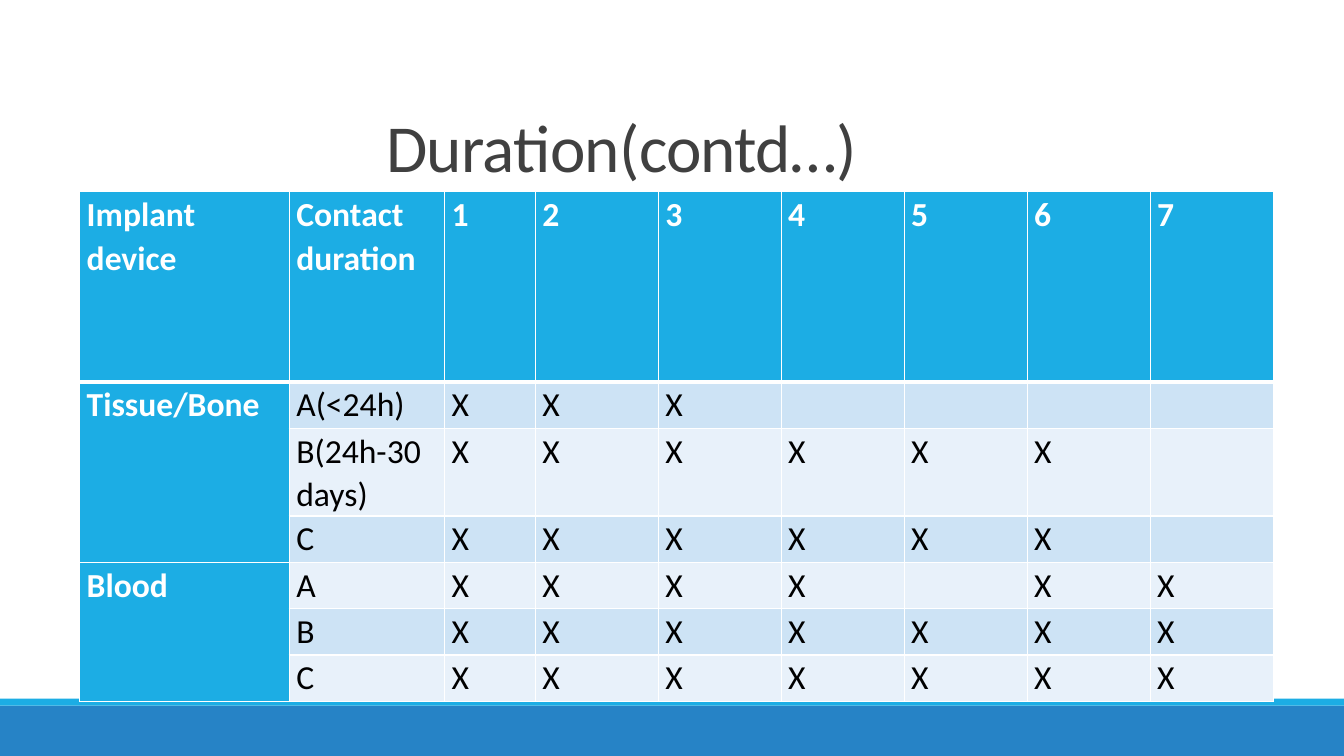
from lxml import etree
from pptx import Presentation
from pptx import util as u
from pptx.dml.color import RGBColor
from pptx.enum import shapes, text
from pptx.oxml import ns

BLUE, DEEP_BLUE, WHITE = "1CADE4", "2683C6", "FFFFFF"
BANDS = ("CDE3F5", "E8F1FA")
HEADER = ["Implant device", "Contact duration", *"1234567"]
# Device, contact duration, test numbers that apply
ROWS = [
    ("Tissue/Bone", "A(<24h)", "123"),
    ("", "B(24h-30days)", "123456"),
    ("", "C", "123456"),
    ("Blood", "A", "123467"),
    ("", "B", "1234567"),
    ("", "C", "1234567"),
]
DEVICE_ROWS = 3
COLUMN_WIDTHS = [15.6, 11.55, 6.75] + [9.15] * 6
ROW_HEIGHTS = [25.2, 6.13, 11.33] + [6.13] * 4


def color(value):
    return RGBColor.from_string(value)


class DurationSlide:
    """Draws elements whose lengths are percentages of the slide size."""

    font_name = "Calibri"

    def __init__(self, presentation):
        self.width = presentation.slide_width
        self.height = presentation.slide_height
        self.slide = presentation.slides.add_slide(presentation.slide_layouts[5])

    def x(self, share):
        return u.Emu(round(self.width * share / 100))

    def y(self, share):
        return u.Emu(round(self.height * share / 100))

    def box(self, left, top, width, height):
        return self.x(left), self.y(top), self.x(width), self.y(height)

    def style(self, paragraph, size, ink, bold, spacing):
        paragraph.alignment = text.PP_ALIGN.LEFT
        paragraph.line_spacing = spacing
        for run in paragraph.runs:
            run.font.name = self.font_name
            run.font.size = u.Pt(size)
            run.font.bold = bold
            run.font.color.rgb = color(ink)

    def bar(self, top, height, fill):
        shape = self.slide.shapes.add_shape(
            shapes.MSO_SHAPE.RECTANGLE, *self.box(0, top, 100, height))
        shape.shadow.inherit = False
        shape.fill.solid()
        shape.fill.fore_color.rgb = color(fill)
        shape.line.fill.background()

    def rule(self, left, right, top):
        line = self.slide.shapes.add_connector(
            shapes.MSO_CONNECTOR.STRAIGHT,
            self.x(left), self.y(top), self.x(right), self.y(top))
        line.line.color.rgb = color("808080")
        line.line.width = u.Pt(0.5)
        etree.SubElement(line._element.spPr, ns.qn("a:effectLst"))

    def title(self, words, bounds, indent):
        shape = self.slide.shapes.title
        shape.left, shape.top, shape.width, shape.height = self.box(*bounds)
        frame = shape.text_frame
        frame.text = words
        frame.word_wrap = True
        frame.auto_size = text.MSO_AUTO_SIZE.NONE
        frame.vertical_anchor = text.MSO_ANCHOR.BOTTOM
        frame.margin_left = self.x(indent)
        self.style(frame.paragraphs[0], 48, "404040", False, 0.85)
        for run in frame.paragraphs[0].runs:
            run.font._element.set("spc", "-50")

    def borders(self, cell, top, bottom):
        """Add white cell borders; top and bottom are widths in points."""
        properties = cell._tc.get_or_add_tcPr()
        for side, points in (("L", 1), ("R", 1), ("T", top), ("B", bottom)):
            line = etree.SubElement(
                properties, ns.qn(f"a:ln{side}"), w=str(u.Pt(points)))
            fill = etree.SubElement(line, ns.qn("a:solidFill"))
            etree.SubElement(fill, ns.qn("a:srgbClr"), val=WHITE)

    def cell(self, cell, words, row, column):
        heading = row == 0 or column == 0
        self.borders(cell, 3 if row == 1 else 1, 3 if row == 0 else 1)
        cell.fill.solid()
        cell.fill.fore_color.rgb = color(BLUE if heading else BANDS[(row - 1) % 2])
        cell.margin_left = cell.margin_right = u.Inches(0.07)
        cell.margin_top = cell.margin_bottom = 0
        cell.text_frame.text = words
        self.style(cell.text_frame.paragraphs[0], 24,
                   WHITE if heading else "000000", heading, 1.07)

    def table(self, left, top, grid):
        bounds = self.box(left, top, sum(COLUMN_WIDTHS), sum(ROW_HEIGHTS))
        table = self.slide.shapes.add_table(
            len(ROW_HEIGHTS), len(COLUMN_WIDTHS), *bounds).table
        table.horz_banding = False
        for column, width in zip(table.columns, COLUMN_WIDTHS):
            column.width = self.x(width)
        for row, height in zip(table.rows, ROW_HEIGHTS):
            row.height = self.y(height)
        for row, values in enumerate(grid):
            for column, words in enumerate(values):
                self.cell(table.cell(row, column), words, row, column)
        for first in range(1, len(grid), DEVICE_ROWS):
            table.cell(first, 0).merge(table.cell(first + DEVICE_ROWS - 1, 0))


def main():
    presentation = Presentation()
    presentation.slide_width = u.Inches(13.33)
    presentation.slide_height = u.Inches(7.5)
    page = DurationSlide(presentation)
    page.bar(93.33, 6.67, DEEP_BLUE)
    page.bar(92.4, 0.93, BLUE)
    page.rule(9.83, 91.6, 25.33)
    page.title("Duration(contd…)", (9, 4.13, 82.52, 21.2), 19.73)
    grid = [HEADER] + [
        [device, duration, *("X" if test in tests else "" for test in HEADER[2:])]
        for device, duration, tests in ROWS]
    page.table(5.93, 25.33, grid)
    presentation.save("out.pptx")


if __name__ == "__main__":
    main()
